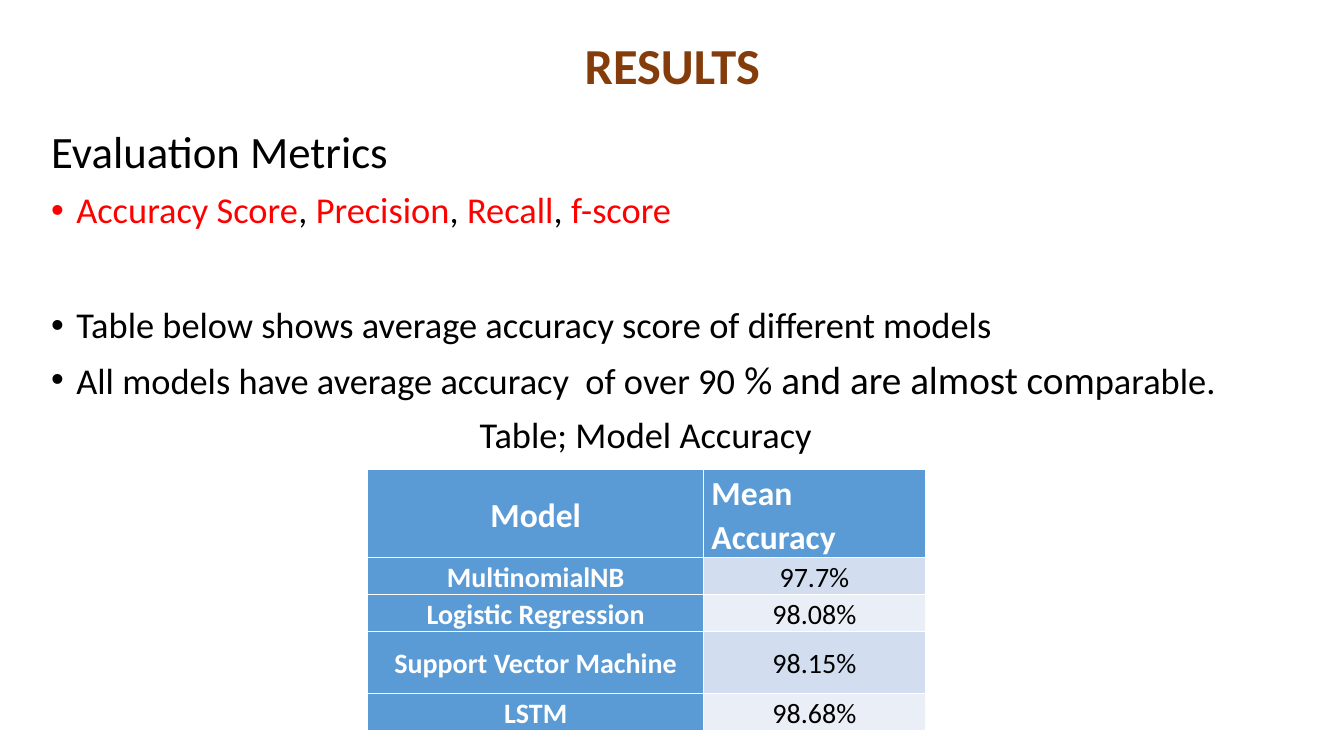
from lxml.etree import SubElement
from pptx import Presentation
from pptx.dml.color import RGBColor
from pptx.enum.text import MSO_ANCHOR as Anchor, PP_ALIGN as Align
from pptx.oxml.ns import qn
from pptx.util import Cm, Pt

COLORS = {
    "title": "843C0B",
    "text": "000000",
    "metric": "FF0000",
    "white": "FFFFFF",
    "header": "5B9BD5",
    "odd": "D2DEEF",
    "even": "EAEFF7",
}
FONT = "Calibri"
CELL_FORMAT = {
    "margin_left": Cm(0.2),
    "margin_right": Cm(0.2),
    "margin_top": Cm(0.03),
    "margin_bottom": Cm(0),
    "vertical_anchor": Anchor.MIDDLE,
}
ACCURACIES = [
    ("Model", "Mean Accuracy"),
    ("MultinomialNB", "97.7%"),
    ("Logistic Regression", "98.08%"),
    ("Support Vector Machine", "98.15%"),
    ("LSTM", "98.68%"),
]
COLUMN_WIDTHS = [8.46, 5.59]
ROW_HEIGHTS = [1.85, 0.81, 0.89, 1.55, 0.81]
METRICS = [
    ("Accuracy Score", 26, "metric"),
    (",", 26, "text"),
    (" Precision", 26, "metric"),
    (",", 26, "text"),
    (" Recall", 26, "metric"),
    (", ", 26, "text"),
    ("f-score", 26, "metric"),
]
FINDINGS = [
    ("All models have average accuracy  of over 90 ", 26, "text"),
    ("% and are almost com", 28, "text"),
    ("parable.", 26, "text"),
]


def apply_format(target, values):
    """Set every attribute in values on target."""
    for attribute, value in values.items():
        setattr(target, attribute, value)


def rgb(color):
    """Return the named colour."""
    return RGBColor.from_string(COLORS[color])


def write_runs(paragraph, runs, bold=False, **layout):
    """Fill a paragraph with (text, size, colour) runs."""
    apply_format(paragraph, layout)
    for text, size, color in runs:
        run = paragraph.add_run()
        run.text = text
        apply_format(run.font, {"name": FONT, "size": Pt(size), "bold": bold})
        run.font.color.rgb = rgb(color)


def add_bullet(paragraph):
    """Give a paragraph a hanging bullet."""
    properties = paragraph._p.get_or_add_pPr()
    properties.set("marL", str(Cm(0.635)))
    properties.set("indent", str(-Cm(0.635)))
    SubElement(properties, qn("a:buFont")).set("typeface", "Arial")
    SubElement(properties, qn("a:buChar")).set("char", "•")


def add_text_frame(slide, left, top, width, height, anchor=Anchor.TOP):
    """Add a wrapping text box and return its frame."""
    frame = slide.shapes.add_textbox(Cm(left), Cm(top), Cm(width), Cm(height)).text_frame
    apply_format(frame, {"word_wrap": True, "vertical_anchor": anchor})
    return frame


def add_title(slide):
    """Add the centred heading."""
    heading = add_text_frame(slide, 2.34, 0.76, 29.21, 1.93, Anchor.MIDDLE)
    write_runs(heading.paragraphs[0], [("RESULTS", 36, "title")], True,
               alignment=Align.CENTER, line_spacing=0.9)


def add_evaluation(slide):
    """Add the metrics, the findings and the table caption."""
    evaluation = add_text_frame(slide, 1.04, 3.15, 30.48, 15.27)
    overview = [("Table below shows average accuracy score of different models", 26, "text")]
    lines = [
        ([("Evaluation Metrics", 32, "text")], 10, Align.LEFT, False),
        (METRICS, 10, Align.LEFT, True),
        (overview, 54, Align.LEFT, True),
        (FINDINGS, 10, Align.LEFT, True),
        ([("Table; Model Accuracy", 26, "text")], 10, Align.CENTER, False),
    ]
    for index, (runs, gap, alignment, bulleted) in enumerate(lines):
        line = evaluation.add_paragraph() if index else evaluation.paragraphs[0]
        write_runs(line, runs, alignment=alignment, line_spacing=0.9, space_before=Pt(gap))
        if bulleted:
            add_bullet(line)


def add_accuracy_table(slide):
    """Add the table of mean accuracy by model."""
    accuracy = slide.shapes.add_table(
        len(ACCURACIES), len(COLUMN_WIDTHS), Cm(9.27), Cm(11.84),
        Cm(sum(COLUMN_WIDTHS)), Cm(sum(ROW_HEIGHTS))).table
    for column, width in zip(accuracy.columns, COLUMN_WIDTHS):
        column.width = Cm(width)
    for row, height in zip(accuracy.rows, ROW_HEIGHTS):
        row.height = Cm(height)
    for row, values in enumerate(ACCURACIES):
        for column, text in enumerate(values):
            cell = accuracy.cell(row, column)
            apply_format(cell, CELL_FORMAT)
            is_header = row == 0 or column == 0
            band = "odd" if row % 2 else "even"
            cell.fill.solid()
            cell.fill.fore_color.rgb = rgb("header" if is_header else band)
            run = (text, 20 if row else 24, "white" if is_header else "text")
            alignment = Align.LEFT if (row, column) == (0, 1) else Align.CENTER
            write_runs(cell.text_frame.paragraphs[0], [run], is_header,
                       alignment=alignment, line_spacing=1.07)


def main():
    """Build and save the results slide."""
    deck = Presentation()
    apply_format(deck, {"slide_width": Cm(33.87), "slide_height": Cm(19.05)})
    slide = deck.slides.add_slide(deck.slide_layouts[6])
    add_title(slide)
    add_evaluation(slide)
    add_accuracy_table(slide)
    deck.save("out.pptx")


if __name__ == "__main__":
    main()
